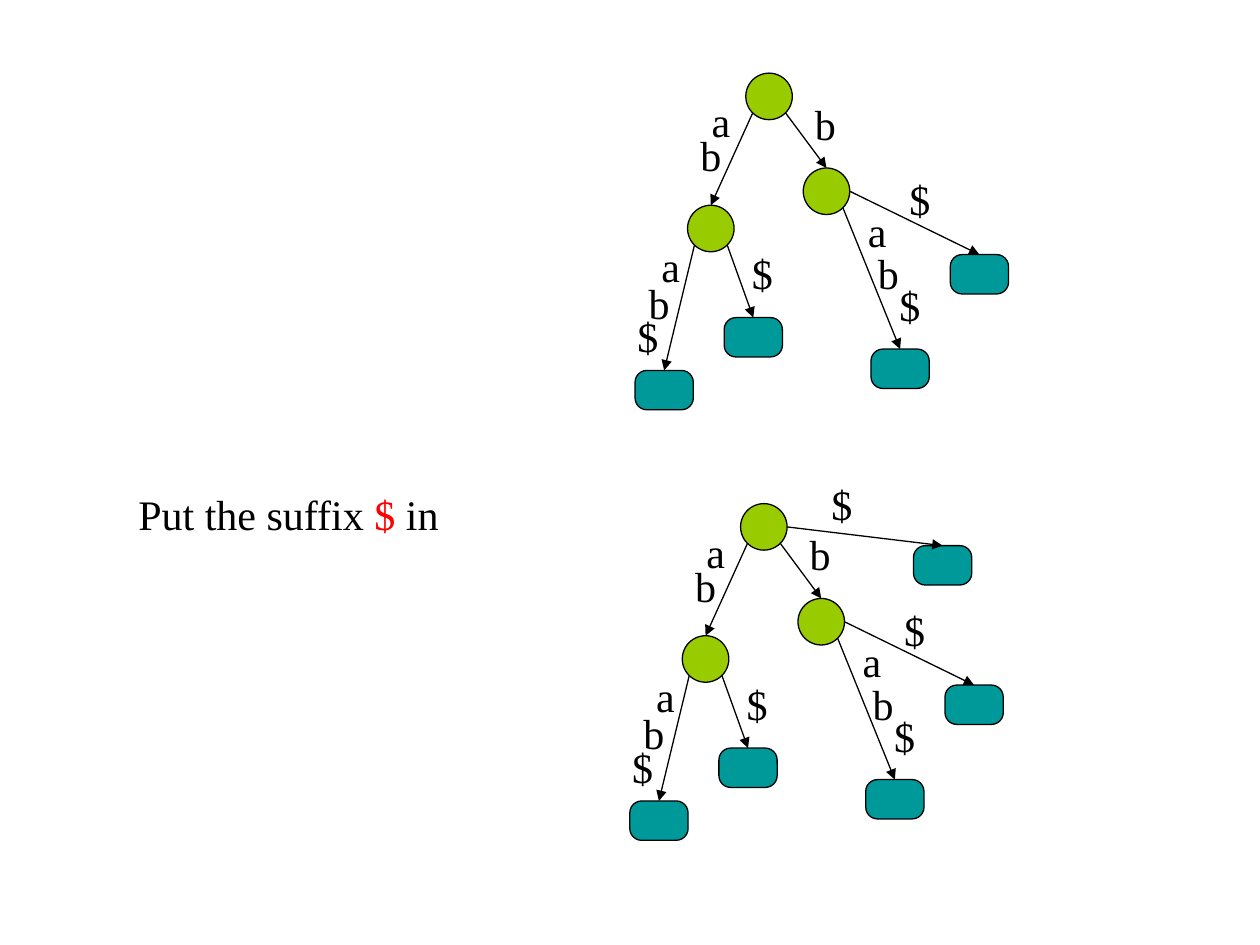
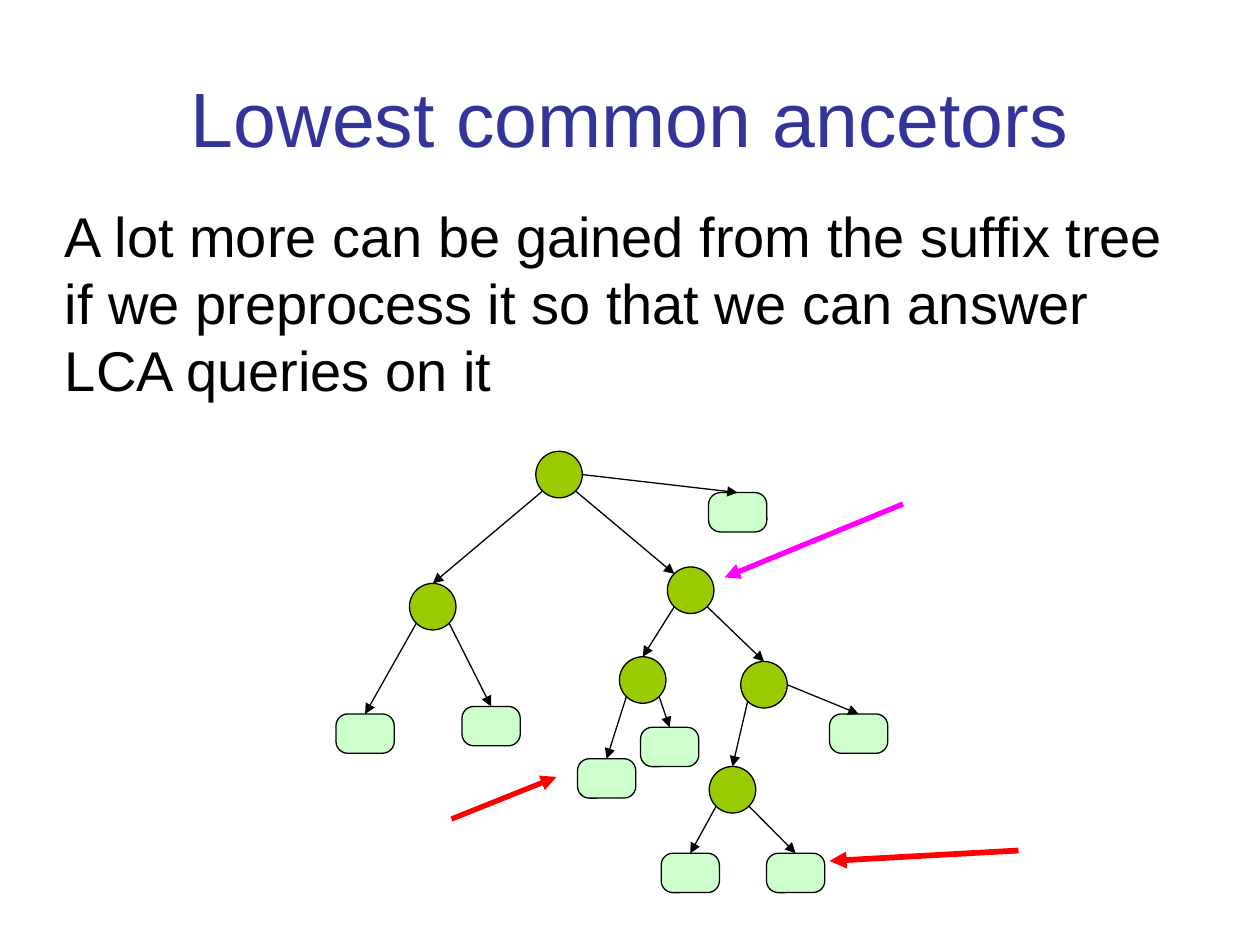
from lxml import etree
from pptx import Presentation
from pptx.dml.color import RGBColor
from pptx.enum.shapes import MSO_CONNECTOR, MSO_SHAPE
from pptx.enum.text import MSO_ANCHOR, PP_ALIGN
from pptx.oxml.ns import qn
from pptx.util import Pt

STRAIGHT = MSO_CONNECTOR.STRAIGHT
OVAL, ROUNDED = MSO_SHAPE.OVAL, MSO_SHAPE.ROUNDED_RECTANGLE
TOP, MIDDLE = MSO_ANCHOR.TOP, MSO_ANCHOR.MIDDLE
LEFT, CENTER = PP_ALIGN.LEFT, PP_ALIGN.CENTER

COLORS = {
    "black": "000000", "title": "333399", "node": "99CC00", "leaf": "009999",
    "pale leaf": "CCFFCC", "red": "FF0000", "magenta": "FF00FF",
}
SERIF = {"name": "Times New Roman", "size": Pt(24)}
TITLE = {"name": "Arial", "size": Pt(44)}
BODY = {"name": "Arial", "size": Pt(32)}

NODE_SIZE = (26.6, 26.6)
LEAF_SIZE = (33.3, 22.5)
LABEL_SIZE = (30.2, 36)
# Where an edge meets a shape, as a share of its width and height
SITES = {
    "top": (0.5, 0), "top left": (0.15, 0.15), "right": (1, 0.5),
    "bottom left": (0.15, 0.85), "bottom right": (0.85, 0.85),
}

# Trees: nodes and leaves by name with left and top;
# edges as parent, site, child, child site; labels as letter, left, top
SUFFIX_TREE = {
    "nodes": {"root": (426.2, 41.8), "ab": (392.9, 117.3), "b": (459, 96)},
    "leaves": {"abab$": (362.9, 211.7), "ab$": (413.8, 181.5),
               "bab$": (497.7, 199.5), "b$": (543, 145.5)},
    "edges": [
        ("root", "bottom left", "ab", "top"),
        ("root", "bottom right", "b", "top"),
        ("ab", "bottom left", "abab$", "top"),
        ("ab", "bottom right", "ab$", "top"),
        ("b", "bottom right", "bab$", "top"),
        ("b", "right", "b$", "top"),
    ],
    "labels": [
        ("a", 399.6, 51.1), ("b", 393.1, 70.6), ("b", 458.6, 52.6),
        ("a", 370.8, 133.9), ("b", 363.6, 154.8), ("$", 357.1, 174.2),
        ("$", 422.6, 138.2), ("a", 488.9, 113.8), ("b", 494.6, 138.2),
        ("$", 506.9, 156.2), ("$", 512.6, 95.8),
    ],
}
LAST_SUFFIX = {
    "nodes": {},
    "leaves": {"$": (525, 65.8)},
    "edges": [("root", "right", "$", "top")],
    "labels": [("$", 471, 24)],
}
COMPLETE_TREE = {
    part: {**SUFFIX_TREE[part], **LAST_SUFFIX[part]} for part in ("nodes", "leaves")
} | {part: SUFFIX_TREE[part] + LAST_SUFFIX[part] for part in ("edges", "labels")}
COMPLETE_SHIFT = (-3, 246)

ANCESTOR_TREE = {
    "nodes": {"root": (306.2, 257.9), "west": (234, 333.4), "ancestor": (381.4, 324),
              "middle": (354, 375.3), "east": (423.3, 378), "south": (405.3, 438)},
    "leaves": {"west 1": (192, 408), "west 2": (264, 403.7),
               "middle 1": (330, 433.6), "middle 2": (366, 415.6),
               "south 1": (377.8, 487.6), "south 2": (438, 487.6),
               "east 2": (474, 408), "root 3": (404.9, 281.5)},
    "edges": [
        ("root", "bottom left", "west", "top"),
        ("root", "bottom right", "ancestor", "top left"),
        ("root", "right", "root 3", "top"),
        ("west", "bottom left", "west 1", "top"),
        ("west", "bottom right", "west 2", "top"),
        ("ancestor", "bottom left", "middle", "top"),
        ("ancestor", "bottom right", "east", "top"),
        ("middle", "bottom left", "middle 1", "top"),
        ("middle", "bottom right", "middle 2", "top"),
        ("east", "bottom left", "south", "top"),
        ("east", "right", "east 2", "top"),
        ("south", "bottom left", "south 1", "top"),
        ("south", "bottom right", "south 2", "top"),
    ],
    "labels": [],
}
POINTERS = [
    ((582, 486), (474, 492), "red", 3.25),
    ((258, 468), (318, 444), "red", 3),
    ((516, 288), (414, 330), "magenta", 3),
]


def rgb(color):
    return RGBColor.from_string(COLORS[color])


def add_text(page, frame, spans, font, align=LEFT, anchor=TOP):
    """Write one paragraph of (text, colour) spans."""
    box = page.shapes.add_textbox(*map(Pt, frame))
    box.text_frame.word_wrap = True
    box.text_frame.vertical_anchor = anchor
    para = box.text_frame.paragraphs[0]
    para.alignment = align
    para.line_spacing = Pt(font["size"].pt * 1.2)
    for text, color in spans:
        span = para.add_run()
        span.text = text
        for name, value in font.items():
            setattr(span.font, name, value)
        span.font.color.rgb = rgb(color)


def add_arrow(page, start, end, color="black", width=0.75):
    arrow = page.shapes.add_connector(STRAIGHT, *map(Pt, start + end))
    arrow.line.color.rgb = rgb(color)
    arrow.line.width = Pt(width)
    properties = arrow._element.spPr
    etree.SubElement(properties.find(qn("a:ln")), qn("a:tailEnd"), type="triangle")
    etree.SubElement(properties, qn("a:effectLst"))


def add_outlined(page, kind, frame, color):
    shape = page.shapes.add_shape(kind, *map(Pt, frame))
    shape.shadow.inherit = False
    shape.fill.solid()
    shape.fill.fore_color.rgb = rgb(color)
    shape.line.color.rgb = rgb("black")
    shape.line.width = Pt(0.75)
    return shape


def add_tree(page, tree, leaf_color, shift=(0, 0)):
    def place(left, top, size):
        return (left + shift[0], top + shift[1]) + size

    frames = {}
    for name, spot in tree["nodes"].items():
        frames[name] = place(*spot, NODE_SIZE)
        add_outlined(page, OVAL, frames[name], "node")
    for name, spot in tree["leaves"].items():
        frames[name] = place(*spot, LEAF_SIZE)
        leaf = add_outlined(page, ROUNDED, frames[name], leaf_color)
        leaf.adjustments[0] = 0.3

    def site_point(name, site):
        left, top, width, height = frames[name]
        across, down = SITES[site]
        return left + across * width, top + down * height

    for parent, parent_site, child, child_site in tree["edges"]:
        add_arrow(page, site_point(parent, parent_site), site_point(child, child_site))
    for letter, left, top in tree["labels"]:
        add_text(page, place(left, top, LABEL_SIZE), [(letter, "black")], SERIF)


def build_suffix_page(page):
    add_text(page, (72, 275.8, 275.8, 36),
             [("Put the suffix ", "black"), ("$", "red"), (" in", "black")], SERIF)
    add_tree(page, SUFFIX_TREE, "leaf")
    add_tree(page, COMPLETE_TREE, "leaf", COMPLETE_SHIFT)


def build_ancestor_page(page):
    add_text(page, (36, 21.6, 648, 90), [("Lowest common ancetors", "title")],
             TITLE, CENTER, MIDDLE)
    add_text(page, (30, 111.6, 660, 122.4),
             [("A lot more can be gained from the suffix tree if we preprocess it "
               "so that we can answer LCA queries on it", "black")], BODY)
    add_tree(page, ANCESTOR_TREE, "pale leaf")
    for pointer in POINTERS:
        add_arrow(page, *pointer)


def main():
    deck = Presentation()
    deck.slide_width, deck.slide_height = Pt(720), Pt(540)
    blank = deck.slide_layouts[6]
    for build in (build_suffix_page, build_ancestor_page):
        build(deck.slides.add_slide(blank))
    deck.save("out.pptx")


if __name__ == "__main__":
    main()
